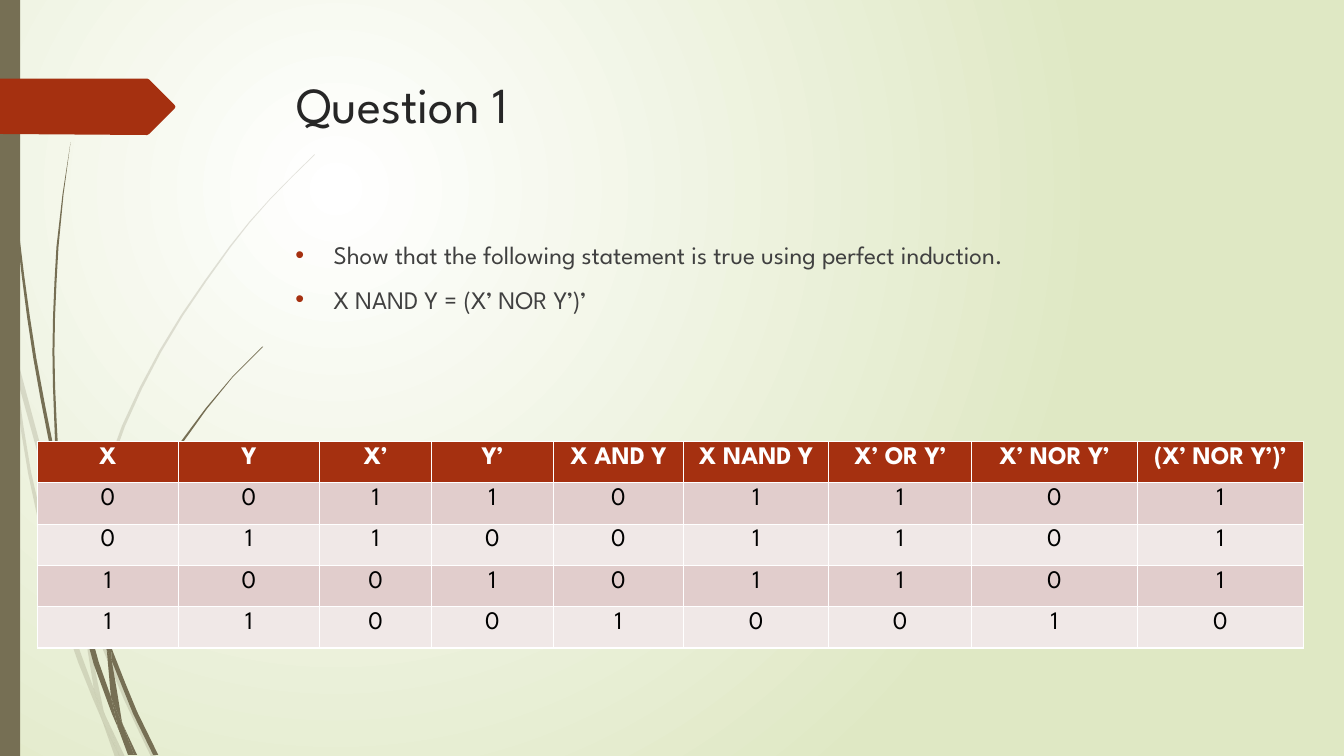
from itertools import product
from math import hypot

from lxml import etree
from pptx import Presentation
from pptx.dml.color import RGBColor
from pptx.enum.shapes import MSO_SHAPE
from pptx.enum.text import PP_ALIGN
from pptx.oxml import parse_xml
from pptx.oxml.ns import nsdecls, qn
from pptx.util import Inches, Pt

FONT = "League Spartan"
COLORS = {
    "white": "FFFFFF", "meadow": "DFE8C4", "stem": "766F54", "red": "A53010",
    "title": "262626", "body": "404040", "black": "000000",
    "band_dark": "E1CDCC", "band_light": "F0E8E7",
}
RGB = {name: RGBColor.from_string(value) for name, value in COLORS.items()}

# Each stem piece is a list of sides; a side is a smooth curve through its points.
FAR_STEMS = [
    [[(0.11, 3.5), (0.09, 3.22), (0, 2.82)], [(0, 2.99), (0.1, 3.44)]],
    [[(0.17, 3.76), (0.58, 5.22), (0.84, 5.99)], [(0.85, 5.86), (0.62, 5.2), (0.14, 3.45)]],
    [[(0.88, 6.1), (1.23, 6.94), (1.5, 7.51)],
     [(1.55, 7.51), (1.27, 6.92), (0.92, 6.07), (0.88, 5.96)]],
    [[(1.19, 7.51)], [(1.24, 7.51), (1.05, 7.11)]],
    [[(0.11, 3.5), (0.28, 4.7), (0.65, 6.21), (0.92, 6.93), (1.01, 7.14)],
     [(0.99, 7.07), (0.93, 6.83), (0.7, 6.19), (0.31, 4.69), (0.17, 3.76)]],
    [[(0.84, 5.99), (0.87, 6.46), (0.93, 6.83), (0.96, 6.92), (1.05, 7.11)],
     [(1.03, 7.06), (0.91, 6.46), (0.88, 6.1), (0.88, 6.08)]],
    [[(0.88, 5.96), (0.88, 5.84), (1.1, 4.62), (1.6, 3.49), (2.29, 2.45), (2.68, 1.98),
      (3.12, 1.54)],
     [(3.12, 1.53), (2.68, 1.97), (2.28, 2.44), (1.58, 3.48), (1.07, 4.61),
      (0.85, 5.84), (0.85, 5.86)]],
    [[(1.01, 7.14), (1.14, 7.51)], [(1.19, 7.51)]],
    [[(0.88, 6.08), (0.88, 6.1), (0.88, 5.96)], [(0.85, 5.86), (0.84, 5.99)]],
    [[(0.93, 6.83), (0.99, 7.07), (1.01, 7.14), (1.19, 7.51)],
     [(1.05, 7.11), (0.96, 6.92)]],
]
NEAR_STEMS = [
    [[(0.03, 0), (0.04, 0.48), (0.07, 1.1), (0.17, 2.33), (0.33, 3.55), (0.57, 4.81)],
     [(0.55, 4.53), (0.36, 3.55), (0.19, 2.32), (0.08, 1.09), (0.05, 0.48), (0.04, 0)]],
    [[(0.6, 4.72), (0.64, 5.05), (0.88, 5.92), (1.06, 6.45)],
     [(1.06, 6.31), (0.93, 5.9)]],
    [[(1.1, 6.41), (1.11, 6.56), (1.32, 7.08), (1.52, 7.49)],
     [(1.57, 7.49), (1.36, 7.06), (1.13, 6.49)]],
    [[(0.57, 4.77), (0.68, 5.57), (0.93, 6.59), (1.11, 7.08), (1.17, 7.22)],
     [(1.16, 7.17), (1.1, 6.91), (0.98, 6.57), (0.72, 5.56), (0.64, 5.05)]],
    [[(0.6, 4.72), (0.58, 4.53), (0.54, 3.49), (0.58, 2.45), (0.63, 1.93), (0.7, 1.41)],
     [(0.62, 1.93), (0.56, 2.45), (0.52, 3.49), (0.55, 4.49)]],
    [[(1.33, 7.49)], [(1.36, 7.49), (1.22, 7.19)]],
    [[(0.57, 4.77), (0.64, 5.05)], [(0.6, 4.72), (0.55, 4.49)]],
    [[(1.1, 6.41), (1.11, 6.33), (1.25, 5.52), (1.58, 4.76), (2.05, 4.06), (2.31, 3.74),
      (2.61, 3.44)],
     [(2.6, 3.44), (2.31, 3.73), (2.04, 4.05), (1.56, 4.74), (1.22, 5.51), (1.06, 6.31)]],
    [[(1.17, 7.22), (1.27, 7.49)], [(1.31, 7.49)]],
    [[(1.06, 6.45), (1.1, 6.91), (1.16, 7.06), (1.22, 7.19)],
     [(1.21, 7.16), (1.11, 6.56), (1.09, 6.51)]],
    [[(1.06, 6.45), (1.11, 6.56)], [(1.1, 6.41), (1.06, 6.31)]],
    [[(1.1, 6.91), (1.16, 7.17), (1.17, 7.22), (1.3, 7.49)],
     [(1.33, 7.49), (1.22, 7.19), (1.16, 7.06)]],
]
FLAG = [(0, 0.78), (1.46, 0.78), (1.48, 0.79), (1.73, 1.04), (1.74, 1.06), (1.73, 1.08),
        (1.48, 1.33), (1.46, 1.34), (0, 1.33)]


def smooth(points):
    """Return points along a curve whose tangents follow the neighbouring points."""
    last = len(points) - 1
    tangents = []
    for i in range(last + 1):
        (x0, y0), (x1, y1) = points[max(i - 1, 0)], points[min(i + 1, last)]
        length = hypot(x1 - x0, y1 - y0) or 1
        tangents.append(((x1 - x0) / length, (y1 - y0) / length))
    curve = [points[0]]
    for i in range(last):
        a, d = points[i], points[i + 1]
        length = hypot(d[0] - a[0], d[1] - a[1])
        b = [a[k] + tangents[i][k] * length / 3 for k in (0, 1)]
        c = [d[k] - tangents[i + 1][k] * length / 3 for k in (0, 1)]
        steps = max(1, round(length * 2.5))
        for t in (step / steps for step in range(1, steps + 1)):
            u = 1 - t
            curve.append(tuple(u**3 * a[k] + 3 * u * u * t * b[k] + 3 * u * t * t * c[k]
                               + t**3 * d[k] for k in (0, 1)))
    return curve


def add_outline(shapes, sides, color, opacity=100):
    """Draw a closed, filled outline from its sides, given in inches."""
    points = [(Inches(x), Inches(y)) for side in sides for x, y in smooth(side)]
    builder = shapes.build_freeform(*points[0])
    builder.add_line_segments(points[1:], close=True)
    shape = builder.convert_to_shape()
    shape.shadow.inherit = False
    shape.line.fill.background()
    shape.fill.solid()
    shape.fill.fore_color.rgb = RGB[color]
    if opacity < 100:
        rgb = shape._element.spPr.find(".//" + qn("a:srgbClr"))
        etree.SubElement(rgb, qn("a:alpha")).set("val", str(opacity * 1000))


prs = Presentation()
prs.slide_width, prs.slide_height = Inches(13.33), Inches(7.5)
slide = prs.slides.add_slide(prs.slide_layouts[6])

# Background: a radial glow centred in the upper left
background = slide.background.fill
background.gradient()
for stop, color in zip(background.gradient_stops, ("white", "meadow")):
    stop.color.rgb = RGB[color]
gradient = slide._element.find(".//" + qn("a:gradFill"))
linear = gradient.find(qn("a:lin"))
gradient.replace(linear, parse_xml(
    f'<a:path {nsdecls("a")} path="circle">'
    '<a:fillToRect l="50000" t="50000" r="100000" b="100000"/></a:path>'))

# Grass stems, side bar and flag
for stems, opacity in ((FAR_STEMS, 20), (NEAR_STEMS, 100)):
    group = slide.shapes.add_group_shape()
    for sides in stems:
        add_outline(group.shapes, sides, "stem", opacity)
bar = slide.shapes.add_shape(MSO_SHAPE.RECTANGLE, 0, 0, Inches(0.2), Inches(7.5))
bar.shadow.inherit = False
bar.fill.solid()
bar.fill.fore_color.rgb = RGB["stem"]
bar.line.fill.background()
add_outline(slide.shapes, [[point] for point in FLAG], "red")

# Title and bulleted task
TASK = ["Show that the following statement is true using perfect induction.",
        "X NAND Y = (X’ NOR Y’)’"]
for left, top, height, lines, size, color in (
        (2.84, 0.68, 1.4, ["Question 1"], 36, "title"),
        (2.83, 2.33, 4.13, TASK, 18, "body")):
    frame = slide.shapes.add_textbox(
        Inches(left), Inches(top), Inches(9.75), Inches(height)).text_frame
    frame.word_wrap = True
    frame.text = "\n".join(lines)
    for paragraph in frame.paragraphs:
        font = paragraph.runs[0].font
        font.name, font.size, font.color.rgb = FONT, Pt(size), RGB[color]
        if lines is TASK:
            paragraph.space_before = Pt(10)
            props = paragraph._p.get_or_add_pPr()
            props.set("marL", str(Inches(0.38)))
            props.set("indent", str(Inches(-0.38)))
            bullet_color = etree.SubElement(props, qn("a:buClr"))
            etree.SubElement(bullet_color, qn("a:srgbClr")).set("val", COLORS["red"])
            etree.SubElement(props, qn("a:buFont")).set("typeface", "Arial")
            etree.SubElement(props, qn("a:buChar")).set("char", "•")

# Truth table; its default style supplies the white rules
rows = [["X", "Y", "X’", "Y’", "X AND Y", "X NAND Y", "X’ OR Y’", "X’ NOR Y’", "(X’ NOR Y’)’"]]
for x, y in product((0, 1), repeat=2):
    both, either_not = x & y, (1 - x) | (1 - y)
    rows.append([x, y, 1 - x, 1 - y, both, 1 - both, either_not, 1 - either_not, either_not])
widths = [1.4, 1.4, 1.11, 1.21, 1.29, 1.44, 1.42, 1.64, 1.65]
table = slide.shapes.add_table(len(rows), len(widths), Inches(0.37), Inches(4.38),
                               Inches(12.56), Inches(2.03)).table
for column, width in zip(table.columns, widths):
    column.width = Inches(width)
for r, row in enumerate(rows):
    table.rows[r].height = Inches(0.41)
    fill = "red" if r == 0 else "band_dark" if r % 2 else "band_light"
    for c, value in enumerate(row):
        cell = table.cell(r, c)
        cell.text = str(value)
        cell.fill.solid()
        cell.fill.fore_color.rgb = RGB[fill]
        paragraph = cell.text_frame.paragraphs[0]
        paragraph.alignment = PP_ALIGN.CENTER
        font = paragraph.runs[0].font
        font.name, font.size, font.bold = FONT, Pt(18), r == 0
        font.color.rgb = RGB["black" if r else "white"]

prs.save("out.pptx")
